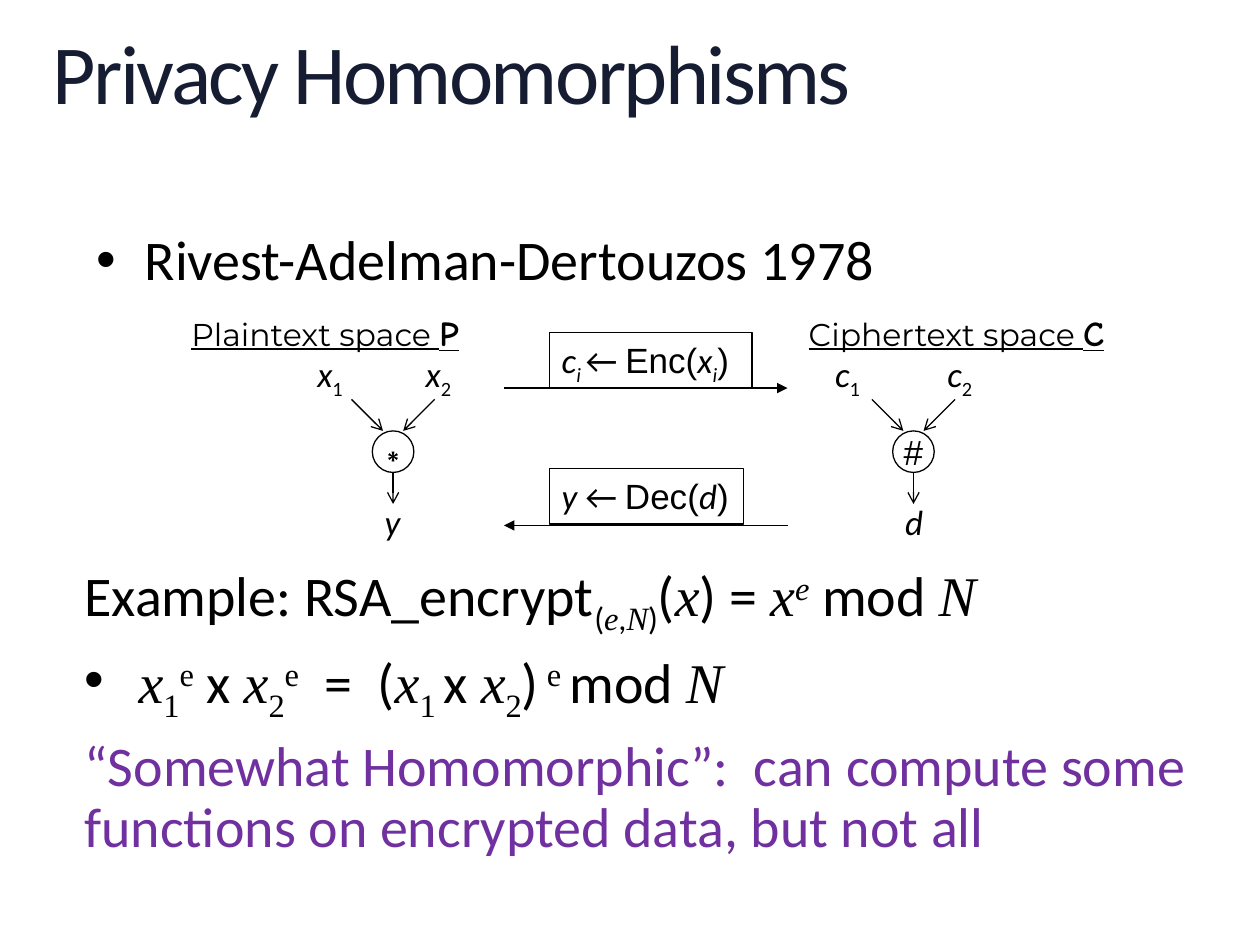
from dataclasses import dataclass
from typing import NamedTuple

from lxml.etree import SubElement
from pptx import Presentation
from pptx.dml.color import RGBColor
from pptx.enum.shapes import MSO_CONNECTOR as Connector, MSO_SHAPE as Preset
from pptx.enum.text import MSO_ANCHOR as Anchor, PP_ALIGN as Align
from pptx.oxml.ns import qn
from pptx.util import Inches, Pt

BLACK = RGBColor(0x00, 0x00, 0x00)
NAVY = RGBColor(0x16, 0x1D, 0x32)
PURPLE = RGBColor(0x70, 0x30, 0xA0)
SANS, SERIF, ARIAL = "Calibri", "Times New Roman", "Arial"
SUB, SUP = -25, 30
MARGINS = ("margin_left", "margin_top", "margin_right", "margin_bottom")


class Span(NamedTuple):
    text: str
    font: str = SANS
    italic: bool = False
    shift: int = 0
    size: float = 20
    bold: bool = False
    underline: bool = False


@dataclass
class Space:
    """One side of the diagram: two inputs, an operator and a result."""
    heading: str
    symbol: str
    heading_left: float
    heading_width: float
    center: float
    variable: str
    variable_lefts: tuple[float, float]
    operator: str
    result: str


SPACES = [
    Space("Plaintext space ", "P", 1.42, 2.77, 3.12, "x", (2.42, 3.28), "∗", "y"),
    Space("Ciphertext space ", "C", 6.32, 2.93, 7.25, "c", (6.53, 7.42), "#", "d"),
]


def plain(text: str, shift: int = 0) -> Span:
    return Span(text, shift=shift, size=32)


def math(text: str, shift: int = 0, italic: bool = True) -> Span:
    return Span(text, SERIF, italic, shift, 32)


def add_spans(para, spans: list[Span], color: RGBColor = BLACK) -> None:
    for span in spans:
        run = para.add_run()
        run.text = span.text
        styles = {"name": span.font, "size": Pt(span.size), "italic": span.italic,
                  "bold": span.bold, "underline": span.underline}
        for name, value in styles.items():
            setattr(run.font, name, value)
        run.font.color.rgb = color
        if span.shift:
            run.font._element.set("baseline", str(span.shift * 1000))


def add_text(page, left: float, top: float, width: float, height: float,
             spans: list[Span] = (), color: RGBColor = BLACK, inset: bool = True):
    box = page.shapes.add_textbox(*map(Inches, (left, top, width, height)))
    frame = box.text_frame
    frame.word_wrap = True
    if not inset:
        for margin in MARGINS:
            setattr(frame, margin, 0)
    add_spans(frame.paragraphs[0], spans, color)
    return frame


def space_lines(para, before: float) -> None:
    para.line_spacing = 0.9
    para.space_before = Pt(before)


def add_bullet(para, indent: float) -> None:
    props = para._p.get_or_add_pPr()
    props.set("marL", str(Inches(indent)))
    props.set("indent", str(-Inches(indent)))
    SubElement(props, qn("a:buFont")).set("typeface", ARIAL)
    SubElement(props, qn("a:buChar")).set("char", "•")


def add_outline(page, preset, left: float, top: float, width: float, height: float,
                spans: list[Span], align=Align.LEFT, anchor=Anchor.TOP) -> None:
    shape = page.shapes.add_shape(preset, *map(Inches, (left, top, width, height)))
    shape.shadow.inherit = False
    shape.fill.background()
    shape.line.color.rgb = BLACK
    shape.line.width = Pt(0.75)
    frame = shape.text_frame
    frame.word_wrap = False
    frame.vertical_anchor = anchor
    frame.paragraphs[0].alignment = align
    add_spans(frame.paragraphs[0], spans)


def add_arrow(page, start: tuple[float, float], end: tuple[float, float],
              head: str = "arrow") -> None:
    line = page.shapes.add_connector(Connector.STRAIGHT, *map(Inches, (*start, *end)))
    line.line.color.rgb = BLACK
    line.line.width = Pt(0.75)
    SubElement(line.line._get_or_add_ln(), qn("a:tailEnd")).set("type", head)
    SubElement(line._element.spPr, qn("a:effectLst"))


def add_space(page, space: Space) -> None:
    add_text(page, space.heading_left, 2.42, space.heading_width, 0.43,
             [Span(space.heading, "Montserrat", size=18, underline=True),
              Span(space.symbol, "Comic Neue", bold=True, underline=True)])
    for index, left in enumerate(space.variable_lefts, 1):
        add_text(page, left, 2.75, 0.6, 0.43,
                 [Span(space.variable, italic=True), Span(str(index), shift=SUB)])
    middle, radius = space.center, 0.165
    add_outline(page, Preset.OVAL, middle - radius, 3.42, 2 * radius, 2 * radius,
                [Span(space.operator, ARIAL)], Align.CENTER, Anchor.MIDDLE)
    for side in (-1, 1):
        add_arrow(page, (middle + side * 0.33, 3.17), (middle + side * 0.08, 3.42))
    add_arrow(page, (middle, 3.75), (middle, 4))
    add_text(page, middle - radius, 3.92, 2 * radius, 0.43,
             [Span(space.result, italic=True)])


def add_mappings(page) -> None:
    """Draw the encryption and decryption steps between the two spaces."""
    encrypt = [Span("c", italic=True), Span("i ", italic=True, shift=SUB), Span("← "),
               Span("Enc(", ARIAL), Span("x", italic=True),
               Span("i", italic=True, shift=SUB), Span(")", ARIAL)]
    decrypt = [Span("y ", italic=True), Span("← "), Span("Dec(", ARIAL),
               Span("d", italic=True), Span(")", ARIAL)]
    left, right = 4, 6.25
    add_outline(page, Preset.RECTANGLE, 4.36, 2.64, 1.61, 0.44, encrypt)
    add_outline(page, Preset.RECTANGLE, 4.36, 3.72, 1.54, 0.44, decrypt)
    add_arrow(page, (left, 3.08), (right, 3.08), "triangle")
    add_arrow(page, (right, 4.17), (left, 4.17), "triangle")


def add_example(page) -> None:
    frame = add_text(page, 0.67, 4.46, 9.17, 2.46, inset=False)
    formula = frame.paragraphs[0]
    add_spans(formula, [
        plain("Example: RSA_encrypt"), plain("(", SUB), math("e", SUB), plain(",", SUB),
        math("N", SUB), plain(")", SUB), plain("("), math("x"), plain(") = "),
        math("x"), math("e", SUP), plain(" mod "), math("N")])
    product = frame.add_paragraph()
    add_spans(product, [
        math("x"), math("1", SUB, False), math("e", SUP, False), plain(" x "),
        math("x"), math("2", SUB, False), math("e", SUP, False), plain("  =  ("),
        math("x"), math("1 ", SUB, False), plain("x "), math("x"),
        math("2", SUB, False), plain(")"), math(" e ", SUP, False),
        plain("mod "), math("N")])
    remark = frame.add_paragraph()
    add_spans(remark, [plain("“Somewhat Homomorphic”:  can compute some functions "
                             "on encrypted data, but not all")], PURPLE)
    for para, before in zip(frame.paragraphs, (10, 10, 12)):
        space_lines(para, before)
    add_bullet(product, 0.43)


def main() -> None:
    deck = Presentation()
    deck.slide_width, deck.slide_height = Inches(10), Inches(7.5)
    page = deck.slides.add_slide(deck.slide_layouts[6])

    title = add_text(page, 0.42, 0.25, 9.17, 0.73,
                     [Span("Privacy Homomorphisms", size=48)], NAVY, inset=False)
    space_lines(title.paragraphs[0], 0)
    title.paragraphs[0].runs[0].font._element.set("spc", "-150")

    authors = add_text(page, 0.67, 1.79, 9.17, 1.29,
                       [plain("Rivest-Adelman-Dertouzos 1978")]).paragraphs[0]
    space_lines(authors, 6.4)
    add_bullet(authors, 0.38)

    for space in SPACES:
        add_space(page, space)
    add_mappings(page)
    add_example(page)
    deck.save("out.pptx")


if __name__ == "__main__":
    main()
